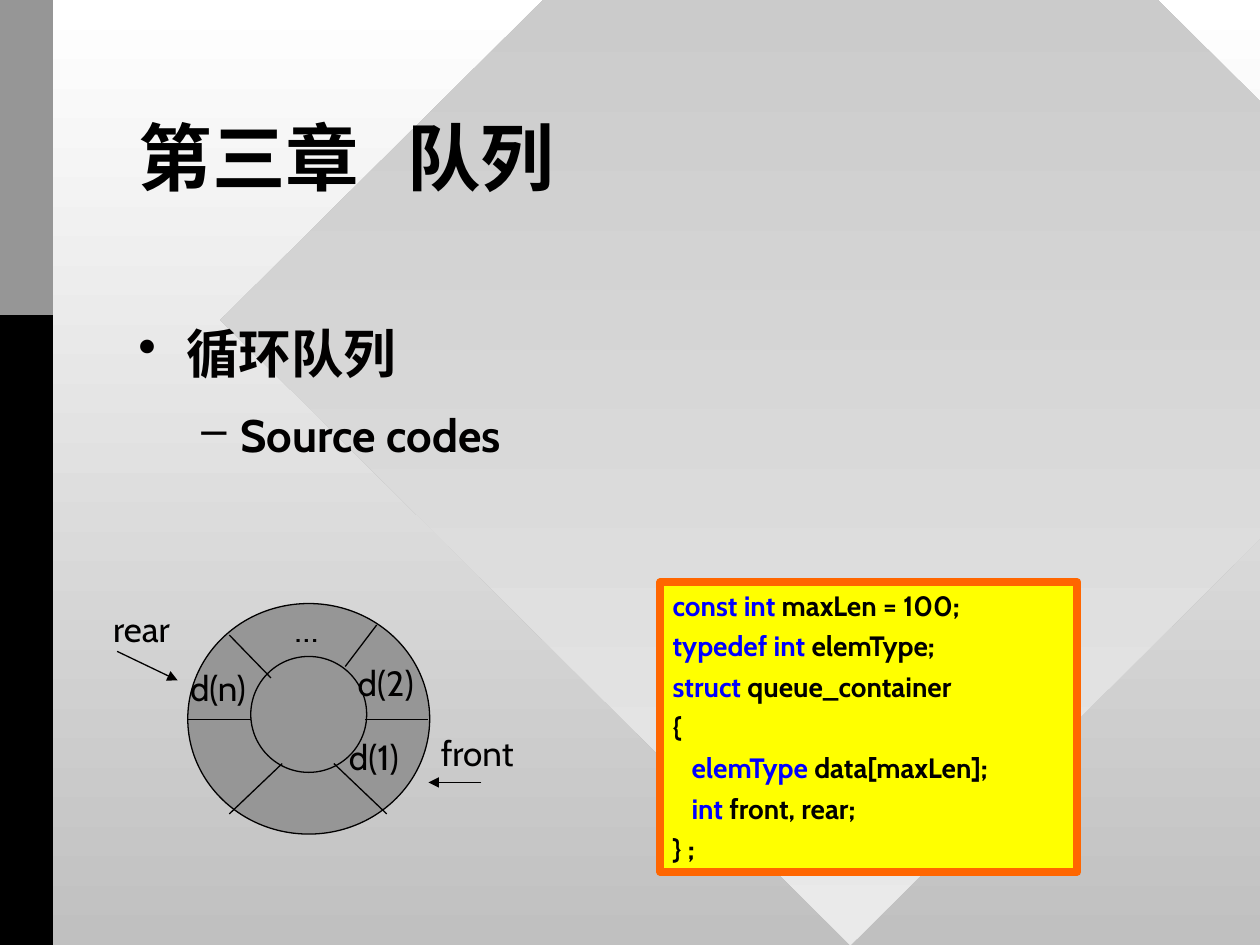
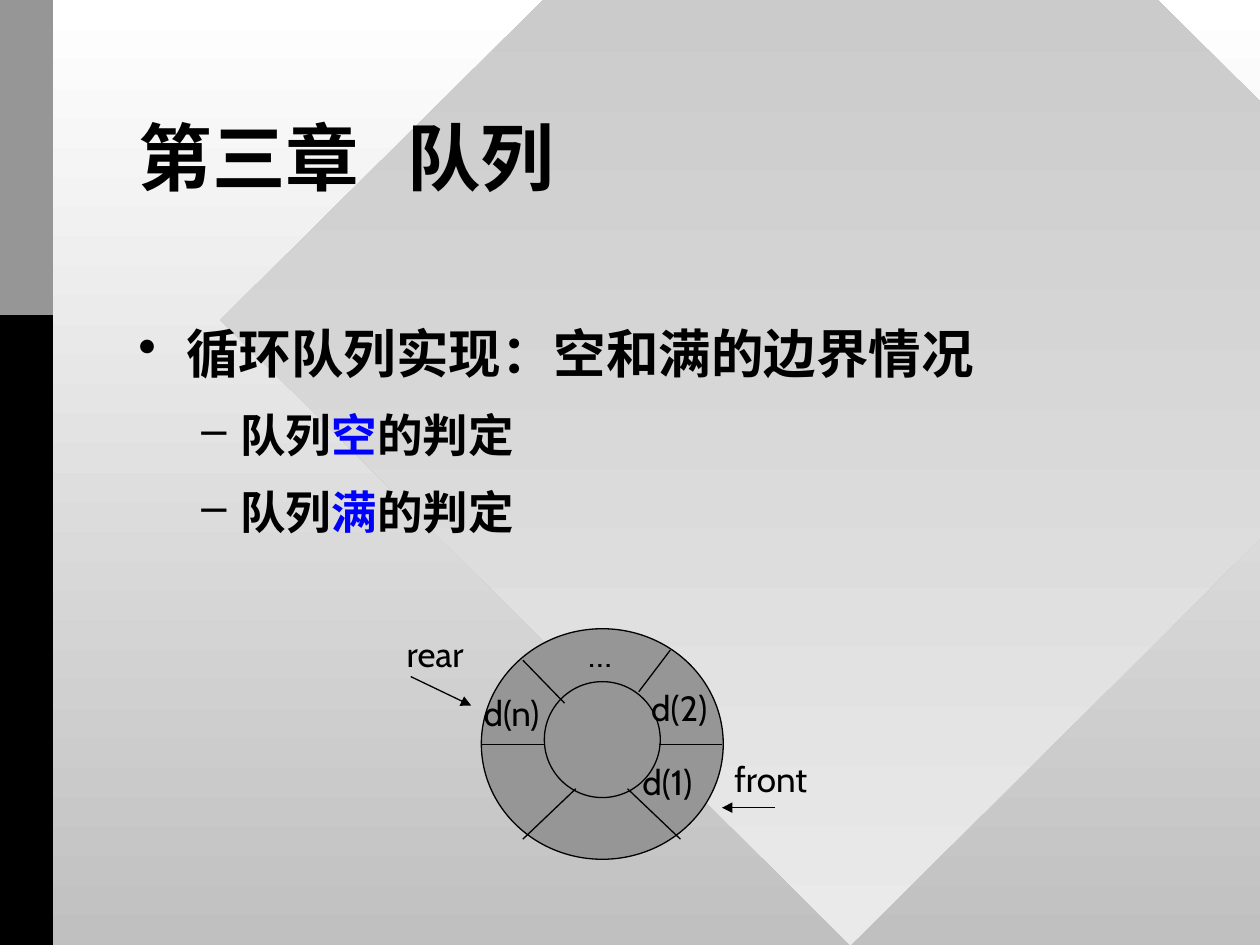
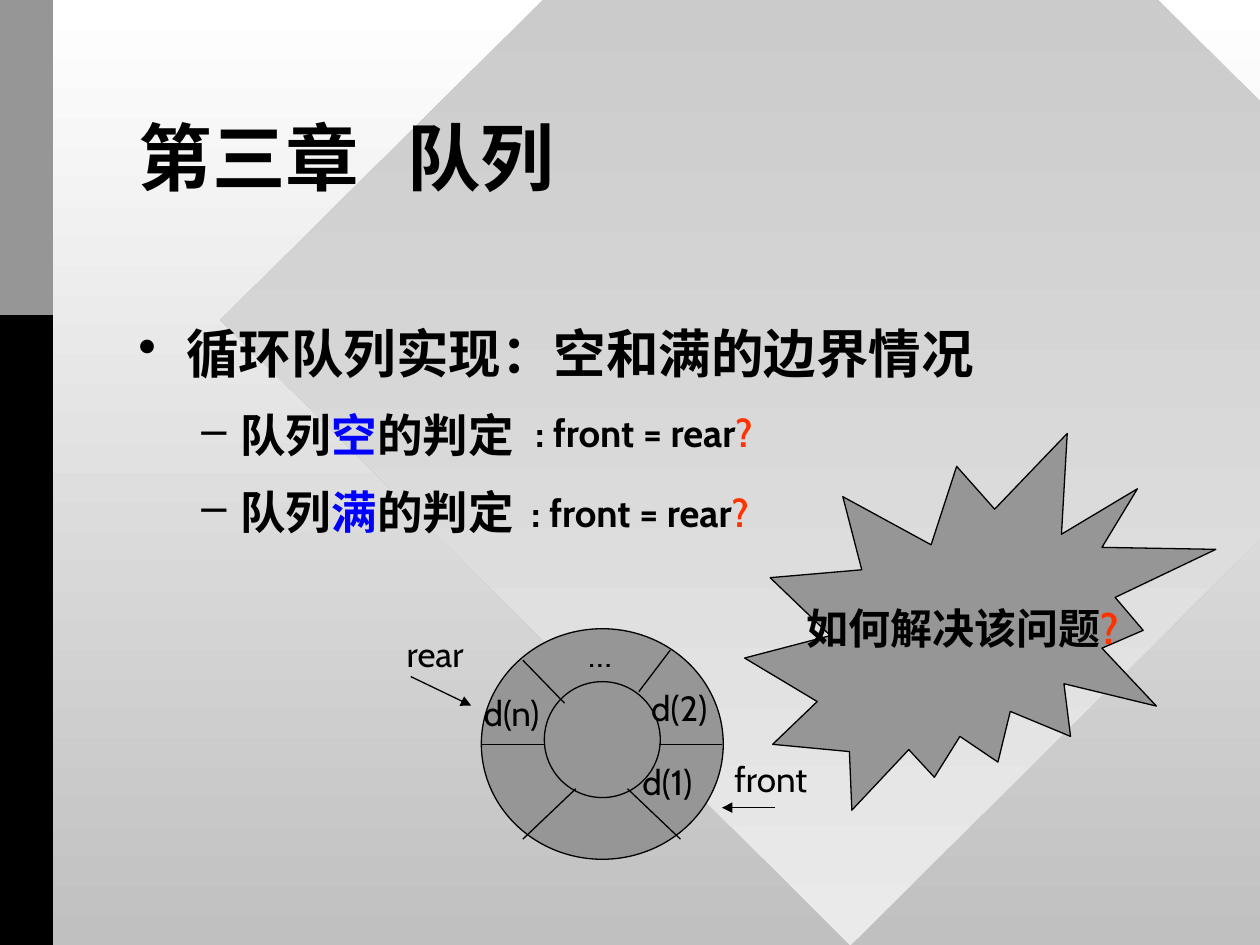
from dataclasses import dataclass
from lxml import etree
from pptx import Presentation
from pptx.dml.color import RGBColor
from pptx.enum.shapes import MSO_CONNECTOR, MSO_SHAPE
from pptx.enum.text import MSO_ANCHOR, MSO_AUTO_SIZE, PP_ALIGN
from pptx.oxml.ns import qn
from pptx.util import Inches, Pt

OVAL, RECT = MSO_SHAPE.OVAL, MSO_SHAPE.RECTANGLE
DIAMOND, BURST = MSO_SHAPE.DIAMOND, MSO_SHAPE.EXPLOSION2
LINE = MSO_CONNECTOR.STRAIGHT
TOP, MIDDLE = MSO_ANCHOR.TOP, MSO_ANCHOR.MIDDLE
LEFT, CENTER = PP_ALIGN.LEFT, PP_ALIGN.CENTER
FIXED = MSO_AUTO_SIZE.NONE


@dataclass(frozen=True)
class Theme:
    font: str = "Cabin"
    black: str = "000000"
    ink: str = "010000"
    blue: str = "0000FF"
    red: str = "FF3300"
    gray: str = "969696"
    yellow: str = "FFFF00"
    orange: str = "FF6600"
    page: tuple = ("FFFFFF", "C0C0C0")
    gem: tuple = ("C0C0C0", "EAEAEA")
    title: int = 42
    head: int = 30
    item: int = 26
    note: int = 22
    burst: int = 24
    label: int = 20
    code: int = 16
    thin: float = 0.75
    thick: float = 4.5


T = Theme()

TITLE = "第三章\t 队列"
EDGES = [("循环队列实现：空和满的边界情况",),
         ("队列", ("空", T.blue), "的判定"),
         ("队列", ("满", T.blue), "的判定")]
PAGES = [
    {"body": [("循环队列",), ("Source codes",)], "ring": (1.49, 4.79)},
    {"body": EDGES, "ring": (3.82, 4.99)},
    {"body": EDGES, "ring": (3.82, 4.99)},
]
CODE = [
    (0, (("const int ", T.blue), "maxLen = 100;")),
    (0, (("typedef int ", T.blue), "elemType;")),
    (0, (("struct ", T.blue), "queue_container")),
    (0, ("{",)),
    (0.15, (("elemType ", T.blue), "data[maxLen];")),
    (0.15, (("int", T.blue), " front, rear;")),
    (0, ("} ;",)),
]
TEST = (": front = rear", ("?", T.red))
NOTES = [(4.15, 3.2), (4.12, 3.83)]
ASK = ("如何解决该问题", ("?", T.red))

LEVELS = [("•", 0.38, 0.38, 22.5, T.head), ("–", 0.81, 0.31, 13, T.item)]

SPOKES = [
    (0, 0.92, 0.5, 0.92), (1.41, 0.92, 1.91, 0.92),
    (0.33, 0.25, 0.66, 0.59), (1.16, 1.27, 1.58, 1.67),
    (1.5, 0.17, 1.25, 0.5), (0.75, 1.27, 0.33, 1.67),
]
ARROWS = [(2.33, 1.42, 1.91, 1.42), (-0.56, 0.38, -0.08, 0.61)]
LABELS = [
    ("…", 0.75, -0.02, 0.42), ("d(1)", 1.18, 1, 0.79),
    ("front", 1.91, 0.97, 1.08), ("rear", -0.69, -0.02, 0.74),
    ("d(2)", 1.25, 0.41, 0.79), ("d(n)", -0.08, 0.45, 0.79),
]


def rgb(code):
    return RGBColor.from_string(code)


def blend(fill, pair):
    fill.gradient()
    fill.gradient_angle = 270
    for stop, code in zip(fill.gradient_stops, pair):
        stop.color.rgb = rgb(code)


def shape(slide, kind, box, fill, line=None, width=T.thin):
    item = slide.shapes.add_shape(kind, *map(Inches, box))
    item.shadow.inherit = False
    if isinstance(fill, tuple):
        blend(item.fill, fill)
    else:
        item.fill.solid()
        item.fill.fore_color.rgb = rgb(fill)
    if line:
        item.line.color.rgb = rgb(line)
        item.line.width = Pt(width)
    else:
        item.line.fill.background()
    return item


def join(slide, ends, arrow=False):
    line = slide.shapes.add_connector(LINE, *map(Inches, ends))
    line.line.color.rgb = rgb(T.ink)
    line.line.width = Pt(T.thin)
    if arrow:
        etree.SubElement(line.line._get_or_add_ln(), qn("a:tailEnd"), type="triangle")
    etree.SubElement(line.element.spPr, qn("a:effectLst"))


def write(para, parts, size, bold=True, align=LEFT):
    para.alignment = align
    for part in parts:
        text, color = part if isinstance(part, tuple) else (part, T.ink)
        run = para.add_run()
        run.text = text
        font = run.font
        font.name, font.size, font.bold = T.font, Pt(size), bold
        font.color.rgb = rgb(color)


def rows(frame, count):
    frame.text = "\n" * (count - 1)
    return frame.paragraphs


def textbox(slide, box, wrap=True):
    frame = slide.shapes.add_textbox(*map(Inches, box)).text_frame
    frame.word_wrap = wrap
    return frame


def indent(para, left, hang=0):
    props = para._p.get_or_add_pPr()
    props.set("marL", str(Inches(left)))
    props.set("indent", str(-Inches(hang)))
    return props


def backdrop(slide, layout):
    parts = [
        shape(slide, DIAMOND, (1.75, -2.42, 10, 9.92), T.gem),
        shape(slide, RECT, (0, 0, 0.42, 7.5), T.black),
        shape(slide, RECT, (0, 0, 0.42, 2.5), T.gray),
    ]
    for spot, part in enumerate(parts, 2):
        layout.shapes.element.insert(spot, part.element)


def heading(slide):
    title = slide.shapes.title
    title.left, title.top = Inches(1), Inches(0.67)
    title.width, title.height = Inches(8), Inches(1.25)
    frame = title.text_frame
    frame.auto_size, frame.vertical_anchor = FIXED, MIDDLE
    para = frame.paragraphs[0]
    para.line_spacing = 0.85
    write(para, [(TITLE, T.black)], T.title)


def outline(slide, items):
    frame = textbox(slide, (1, 2.5, 8.25, 4))
    for spot, (para, parts) in enumerate(zip(rows(frame, len(items)), items)):
        mark, left, hang, gap, size = LEVELS[min(spot, 1)]
        write(para, parts, size)
        para.space_before = Pt(gap)
        props = indent(para, left, hang)
        tint = etree.SubElement(props, qn("a:buClr"))
        etree.SubElement(tint, qn("a:srgbClr"), val=T.ink)
        etree.SubElement(props, qn("a:buChar"), char=mark)


def ring(slide, left, top):
    def move(ends):
        return [value + base for value, base in zip(ends, (left, top) * 2)]

    shape(slide, OVAL, (left, top, 1.92, 1.83), T.gray, T.ink)
    shape(slide, OVAL, (left + 0.5, top + 0.42, 0.92, 0.92), T.gray, T.ink)
    for ends in SPOKES:
        join(slide, move(ends))
    for ends in ARROWS:
        join(slide, move(ends), arrow=True)
    for text, x, y, wide in LABELS:
        frame = textbox(slide, (left + x, top + y, wide, 0.44), text != "rear")
        write(frame.paragraphs[0], [text], T.label, bold=False)


def listing(slide):
    card = shape(slide, RECT, (5.24, 4.62, 3.31, 2.3), T.yellow, T.orange, T.thick)
    frame = card.text_frame
    frame.word_wrap, frame.vertical_anchor = True, TOP
    for para, (left, parts) in zip(rows(frame, len(CODE)), CODE):
        write(para, parts, T.code)
        para.space_before = Pt(4)
        indent(para, left)


def puzzle(slide):
    for left, top in NOTES:
        frame = textbox(slide, (left, top, 2.26, 0.47), wrap=False)
        write(frame.paragraphs[0], TEST, T.note)
    burst = shape(slide, BURST, (5.91, 3.44, 3.74, 2.99), T.gray, T.ink)
    frame = burst.text_frame
    frame.word_wrap, frame.vertical_anchor = False, MIDDLE
    para = frame.paragraphs[0]
    para.space_before = Pt(6)
    write(para, ASK, T.burst, align=CENTER)


def main():
    deck = Presentation()
    deck.slide_width, deck.slide_height = Inches(10), Inches(7.5)
    blend(deck.slide_master.background.fill, T.page)
    layout = deck.slide_layouts[5]
    slides = [deck.slides.add_slide(layout) for _ in PAGES]
    backdrop(slides[0], layout)
    for slide, page in zip(slides, PAGES):
        heading(slide)
        outline(slide, page["body"])
        ring(slide, *page["ring"])
    listing(slides[0])
    puzzle(slides[2])
    deck.save("out.pptx")


if __name__ == "__main__":
    main()
